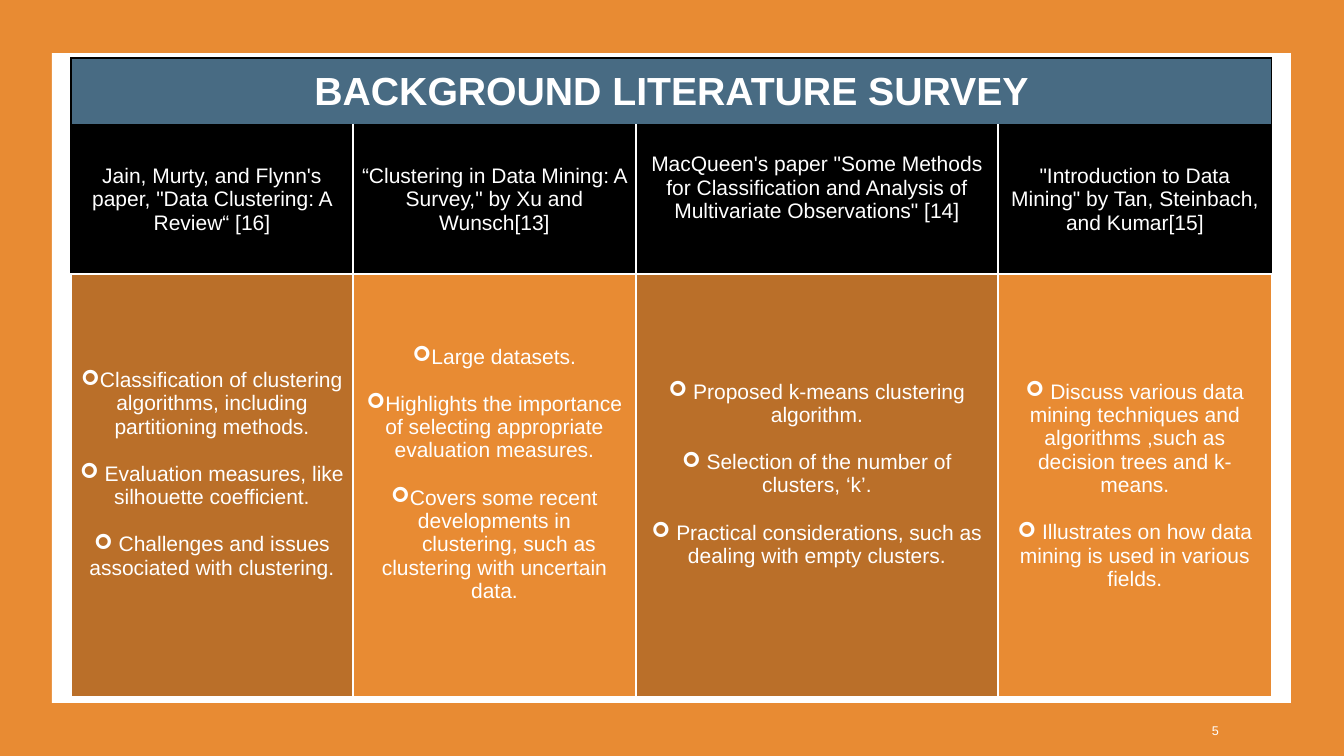
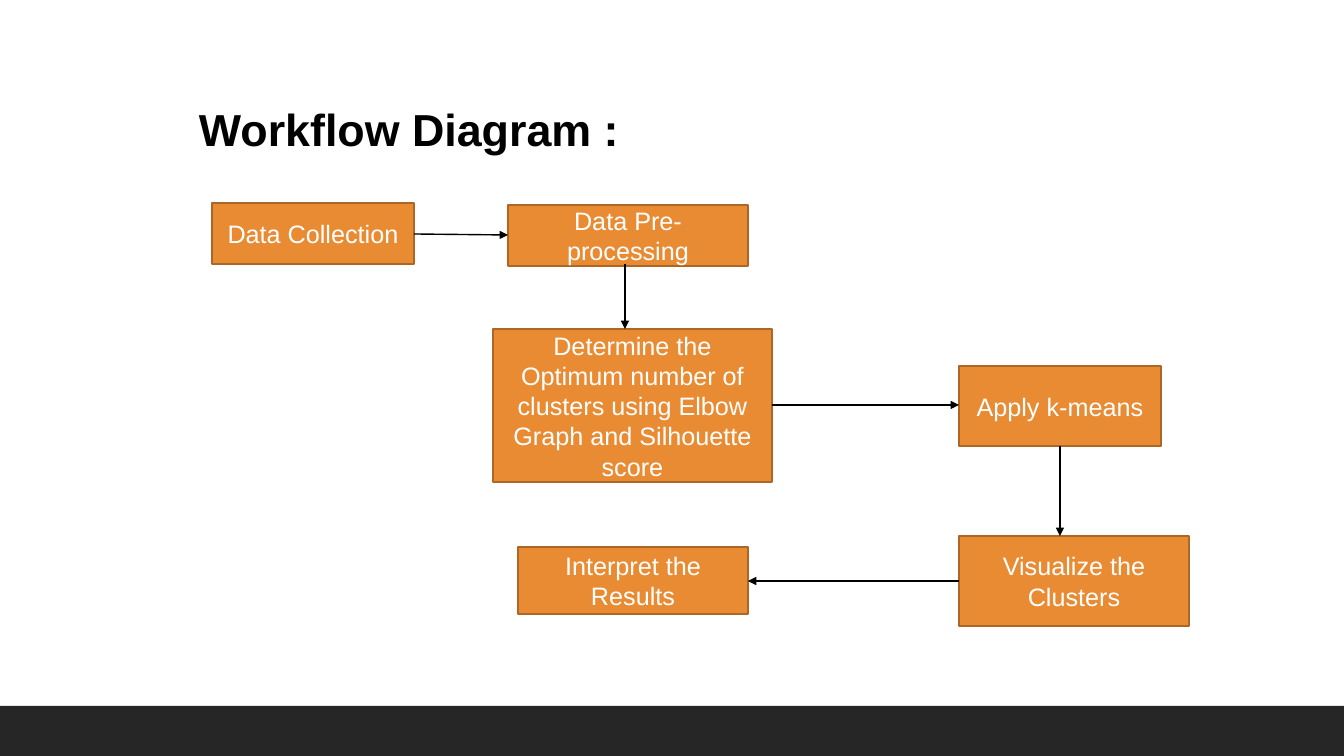
"""Builds a literature survey table slide and a workflow diagram slide."""
from lxml import etree
from pptx import Presentation
from pptx import util as u
from pptx.dml.color import RGBColor
from pptx.enum import shapes, text
from pptx.oxml.ns import qn

PX = 914400 / 100.8
WIDTH, HEIGHT = 1344, 756
FONT = "Arial"
COLORS = {
    "orange": "E88B33", "brown": "BA6F29", "outline": "AC6726", "blue": "486B83",
    "band": "262626", "black": "000000", "white": "FFFFFF",
}
BAND = (0, 706, WIDTH, 50)

SURVEY_TITLE = "BACKGROUND LITERATURE SURVEY"
PAGE_NUMBER = "5"
PANEL = (52, 53, 1239, 650)
TABLE_ORIGIN = (71, 58)
ROW_HEIGHTS = (67, 149, 423)
COLUMN_WIDTHS = (282, 283, 362, 274)
CELL_MARGINS = (9, 4, 9, 4)
LINE = 23
CONTINUATION_INDENT = 29
BULLET = "➢"
SURVEY = [
    {"paper": "Jain, Murty, and Flynn's paper, \"Data Clustering: A Review“ [16]",
     "lift": (0, LINE),
     "points": ["Classification of clustering algorithms, including partitioning methods.",
                " Evaluation measures, like silhouette coefficient.",
                " Challenges and issues associated with clustering."]},
    {"paper": "“Clustering in Data Mining: A Survey,\" by Xu and Wunsch[13]",
     "lift": (0, LINE),
     "points": ["Large datasets.",
                "Highlights the importance of selecting appropriate evaluation measures.",
                "Covers some recent developments in"],
     "continuation": "clustering, such as clustering with uncertain data."},
    {"paper": "MacQueen's paper \"Some Methods for Classification and Analysis of "
              "Multivariate Observations\" [14]",
     "lift": (LINE, LINE),
     "points": [" Proposed k-means clustering algorithm.",
                " Selection of the number of clusters, ‘k’.",
                " Practical considerations, such as dealing with empty clusters."]},
    {"paper": "\"Introduction to Data Mining\" by Tan, Steinbach, and Kumar[15]",
     "lift": (0, 0),
     "points": [" Discuss various data mining techniques and algorithms ,such as "
                "decision trees and k-means.",
                " Illustrates on how data mining is used in various fields."]},
]

WORKFLOW_TITLE = "Workflow Diagram :"
STEPS = [
    ("Data Collection", (212, 203, 202, 61)),
    ("Data Pre-processing", (508, 205, 240, 61)),
    ("Determine the Optimum number of clusters using Elbow Graph and Silhouette score",
     (493, 329, 279, 153)),
    ("Apply k-means", (959, 366, 202, 80)),
    ("Interpret the Results", (518, 547, 230, 67)),
    ("Visualize the Clusters", (959, 536, 230, 90)),
]
ARROWS = [
    (414, 234, 508, 235), (625, 264, 625, 329), (772, 405, 959, 405),
    (1060, 446, 1060, 536), (959, 581, 748, 581),
]


def px(*lengths):
    return [u.Emu(round(length * PX)) for length in lengths]


def rgb(name):
    return RGBColor.from_string(COLORS[name])


def style_text(paragraph, size, color="white", bold=False, align=None):
    paragraph.alignment = align
    for run in paragraph.runs:
        run.font.name = FONT
        run.font.size = u.Pt(size)
        run.font.bold = bold
        run.font.color.rgb = rgb(color)


def add_box(slide, area, fill, outline=None):
    shape = slide.shapes.add_shape(shapes.MSO_SHAPE.RECTANGLE, *px(*area))
    shape.shadow.inherit = False
    shape.fill.solid()
    shape.fill.fore_color.rgb = rgb(fill)
    if outline:
        shape.line.color.rgb = rgb(outline)
        shape.line.width = u.Pt(1.25)
    else:
        shape.line.fill.background()
    return shape


def add_label(slide, area, words, size, color, bold=False):
    frame = slide.shapes.add_textbox(*px(*area)).text_frame
    frame.word_wrap = True
    frame.text = words
    style_text(frame.paragraphs[0], size, color, bold)
    return frame


def add_arrow(slide, ends):
    connector = slide.shapes.add_connector(shapes.MSO_CONNECTOR.STRAIGHT, *px(*ends))
    connector.line.color.rgb = rgb("black")
    connector.line.width = u.Pt(1)
    properties = connector._element.spPr
    etree.SubElement(properties.find(qn("a:ln")), qn("a:tailEnd"), type="triangle")
    etree.SubElement(properties, qn("a:effectLst"))


def add_slide(presentation):
    slide = presentation.slides.add_slide(presentation.slide_layouts[6])
    add_box(slide, BAND, "band")
    return slide


def set_borders(cell, left, right, top, bottom):
    properties = cell._tc.get_or_add_tcPr()
    sides = zip("LRTB", (left, right, top, bottom))
    for position, (side, color) in enumerate(sides):
        line = etree.Element(qn(f"a:ln{side}"), w=str(u.Pt(1)))
        fill = etree.SubElement(line, qn("a:solidFill"))
        etree.SubElement(fill, qn("a:srgbClr"), val=COLORS[color])
        properties.insert(position, line)


def fill_cell(cell, lines, fill, size=15, bold=False, lift=0):
    left, top, right, bottom = px(*CELL_MARGINS)
    cell.margin_left, cell.margin_top, cell.margin_right = left, top, right
    cell.margin_bottom = bottom + px(lift)[0]
    cell.vertical_anchor = text.MSO_ANCHOR.MIDDLE
    cell.fill.solid()
    cell.fill.fore_color.rgb = rgb(fill)
    cell.text_frame.text = "\n".join(lines)
    for paragraph in cell.text_frame.paragraphs:
        style_text(paragraph, size, bold=bold, align=text.PP_ALIGN.CENTER)


def format_points(paragraphs, count):
    for index, paragraph in enumerate(paragraphs):
        properties = paragraph._p.get_or_add_pPr()
        properties.set("marL", "0")
        if index >= count:
            properties.set("indent", str(px(CONTINUATION_INDENT)[0]))
            continue
        properties.set("indent", "0")
        if index:
            paragraph.space_before = u.Pt(17)
        etree.SubElement(properties, qn("a:buFont"), typeface="Wingdings")
        etree.SubElement(properties, qn("a:buChar"), char=BULLET)


def add_survey_table(slide):
    size = (sum(COLUMN_WIDTHS), sum(ROW_HEIGHTS))
    frame = slide.shapes.add_table(len(ROW_HEIGHTS), len(SURVEY), *px(*TABLE_ORIGIN, *size))
    table = frame.table
    table.first_row = table.horz_banding = False
    for row, height in zip(table.rows, px(*ROW_HEIGHTS)):
        row.height = height
    for column, width in zip(table.columns, px(*COLUMN_WIDTHS)):
        column.width = width

    table.cell(0, 0).merge(table.cell(0, len(SURVEY) - 1))
    fill_cell(table.cell(0, 0), [SURVEY_TITLE], "blue", 28, True)
    for index, entry in enumerate(SURVEY):
        title, paper, body = (table.cell(row, index) for row in range(len(ROW_HEIGHTS)))
        paper_lift, body_lift = entry["lift"]
        points = entry["points"]
        lines = points + [entry["continuation"]] if "continuation" in entry else points
        fill_cell(paper, [entry["paper"]], "black", lift=paper_lift)
        fill_cell(body, lines, ("brown", "orange")[index % 2], lift=body_lift)
        format_points(body.text_frame.paragraphs, len(points))
        set_borders(title, *["black"] * 4)
        set_borders(paper, "white" if index else "black",
                    "white" if index < len(SURVEY) - 1 else "black", "black", "white")
        set_borders(body, *["white"] * 4)


def build_survey(presentation):
    slide = add_slide(presentation)
    add_box(slide, (0, 0, WIDTH, HEIGHT), "orange")
    add_box(slide, PANEL, "white")
    number = add_label(slide, (1212, 711, 86, 40), PAGE_NUMBER, 9, "white")
    number.margin_left = number.margin_top = number.margin_right = number.margin_bottom = 0
    number.vertical_anchor = text.MSO_ANCHOR.MIDDLE
    number.paragraphs[0].space_after = u.Pt(6)
    add_survey_table(slide)


def build_workflow(presentation):
    slide = add_slide(presentation)
    add_label(slide, (189, 97, 931, 65), WORKFLOW_TITLE, 32, "black", True)
    for words, area in STEPS:
        frame = add_box(slide, area, "orange", "outline").text_frame
        frame.word_wrap = True
        frame.vertical_anchor = text.MSO_ANCHOR.MIDDLE
        frame.text = words
        style_text(frame.paragraphs[0], 18, align=text.PP_ALIGN.CENTER)
    for ends in ARROWS:
        add_arrow(slide, ends)


def main():
    presentation = Presentation()
    presentation.slide_width, presentation.slide_height = px(WIDTH, HEIGHT)
    build_survey(presentation)
    build_workflow(presentation)
    presentation.save("out.pptx")


if __name__ == "__main__":
    main()
